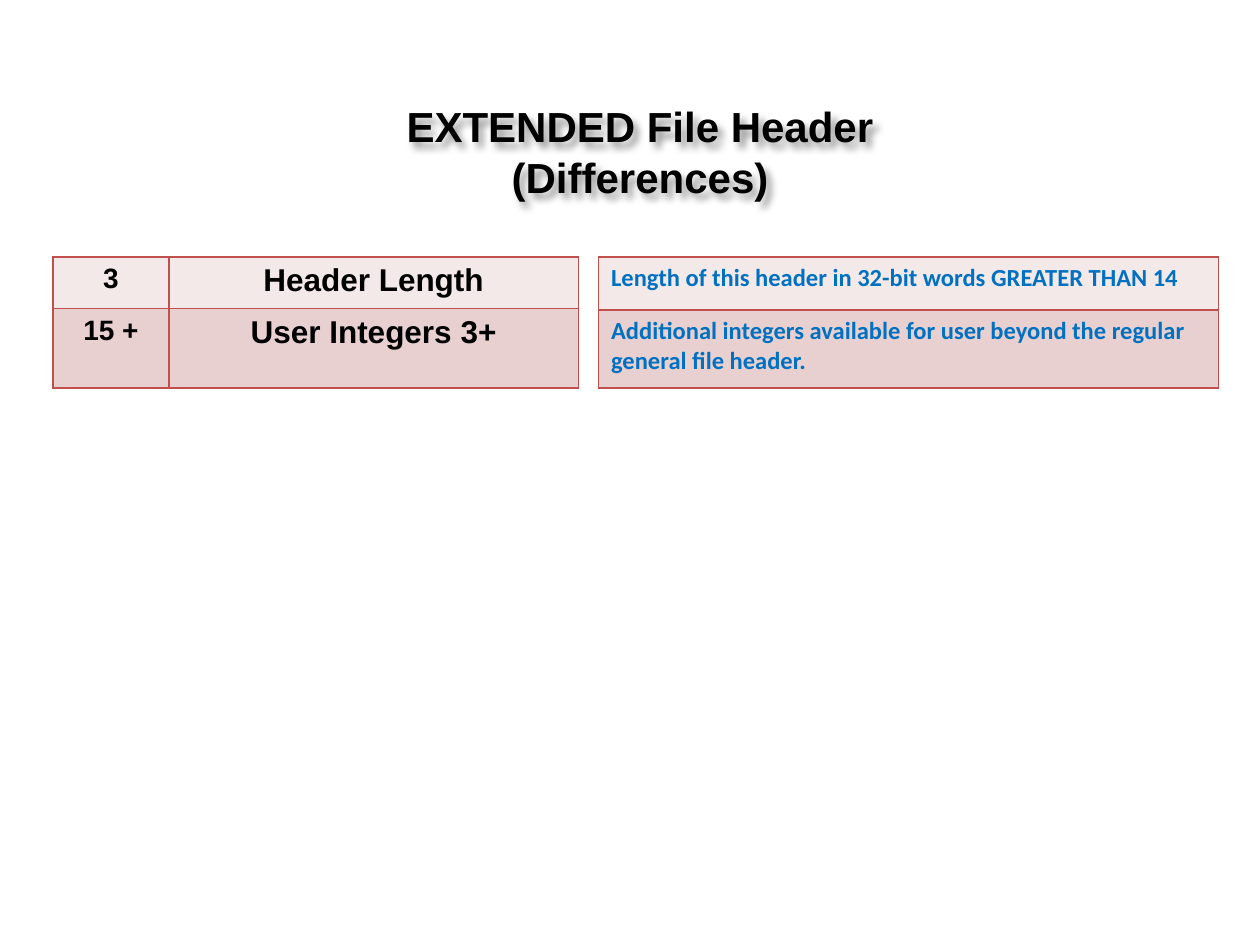
from pptx import Presentation
from pptx import util as u
from pptx.dml import color
from pptx.enum import text
from pptx.oxml import parse_xml
from pptx.oxml.ns import nsdecls

W, H = 10, 7.5
ROW_FILLS = ("F4E9E9", "E8D0D0")
BORDER = "C0504D"
TABLE_TOP = 2.04


def rgb(value):
    return color.RGBColor.from_string(value)


def format_text(p, size, font, ink, align):
    p.alignment = align
    for r in p.runs:
        r.font.size = u.Pt(size)
        r.font.name = font
        r.font.bold = True
        r.font.color.rgb = rgb(ink)


def add_shadow(sp):
    sp.element.spPr.append(parse_xml(
        f'<a:effectLst {nsdecls("a")}>'
        '<a:outerShdw blurRad="50800" dist="50800" dir="2700000" algn="tl" rotWithShape="0">'
        '<a:srgbClr val="000000"><a:alpha val="40000"/></a:srgbClr>'
        '</a:outerShdw></a:effectLst>'))


def add_title(s, lines):
    sp = s.shapes.add_textbox(u.Inches(1.58), u.Inches(H * 0.1),
                              u.Inches(W * 0.7), u.Inches(0.91))
    tf = sp.text_frame
    tf.word_wrap = True
    tf.auto_size = text.MSO_AUTO_SIZE.SHAPE_TO_FIT_TEXT
    tf.text = "\n".join(lines)
    for p in tf.paragraphs:
        format_text(p, 24, "Arial", "000000", text.PP_ALIGN.CENTER)
    add_shadow(sp)


def add_borders(cell):
    tc_pr = cell._tc.get_or_add_tcPr()
    for i, side in enumerate(("lnL", "lnR", "lnT", "lnB")):
        tc_pr.insert(i, parse_xml(
            f'<a:{side} {nsdecls("a")} w="{u.Pt(1)}"><a:solidFill>'
            f'<a:srgbClr val="{BORDER}"/></a:solidFill></a:{side}>'))


def add_field_table(s, left, widths, heights, rows, sizes, font, ink, align):
    frame = s.shapes.add_table(len(rows), len(widths), u.Inches(left), u.Inches(TABLE_TOP),
                               u.Inches(sum(widths)), u.Inches(sum(heights)))
    table = frame.table
    for col, width in zip(table.columns, widths):
        col.width = u.Inches(width)
    for row, height, values, fill in zip(table.rows, heights, rows, ROW_FILLS):
        row.height = u.Inches(height)
        for cell, value, size in zip(row.cells, values, sizes):
            cell.text = value
            cell.fill.solid()
            cell.fill.fore_color.rgb = rgb(fill)
            add_borders(cell)
            format_text(cell.text_frame.paragraphs[0], size, font, ink, align)


def main():
    prs = Presentation()
    prs.slide_width, prs.slide_height = u.Inches(W), u.Inches(H)
    s = prs.slides.add_slide(prs.slide_layouts[6])
    add_title(s, ["EXTENDED File Header", "(Differences)"])
    add_field_table(s, 0.42, (0.92, 3.25), (0.41, 0.63),
                    [("3", "Header Length"), ("15 +", "User Integers 3+")],
                    (16, 18), "Arial", "000000", text.PP_ALIGN.CENTER)
    add_field_table(s, 4.75, (4.92,), (0.42, 0.62),
                    [("Length of this header in 32-bit words GREATER THAN 14",),
                     ("Additional integers available for user beyond the regular "
                      "general file header.",)],
                    (14,), "Calibri", "0070C0", text.PP_ALIGN.LEFT)
    prs.save("out.pptx")


if __name__ == "__main__":
    main()
